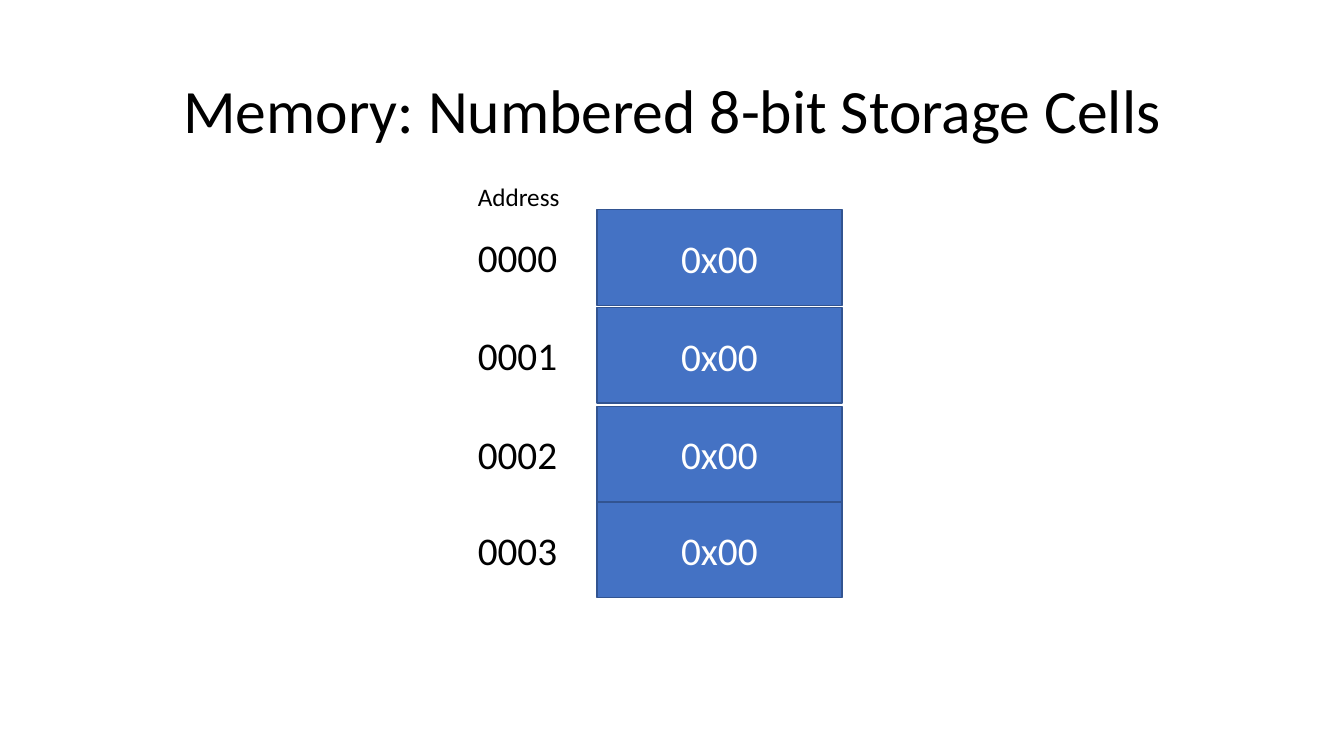
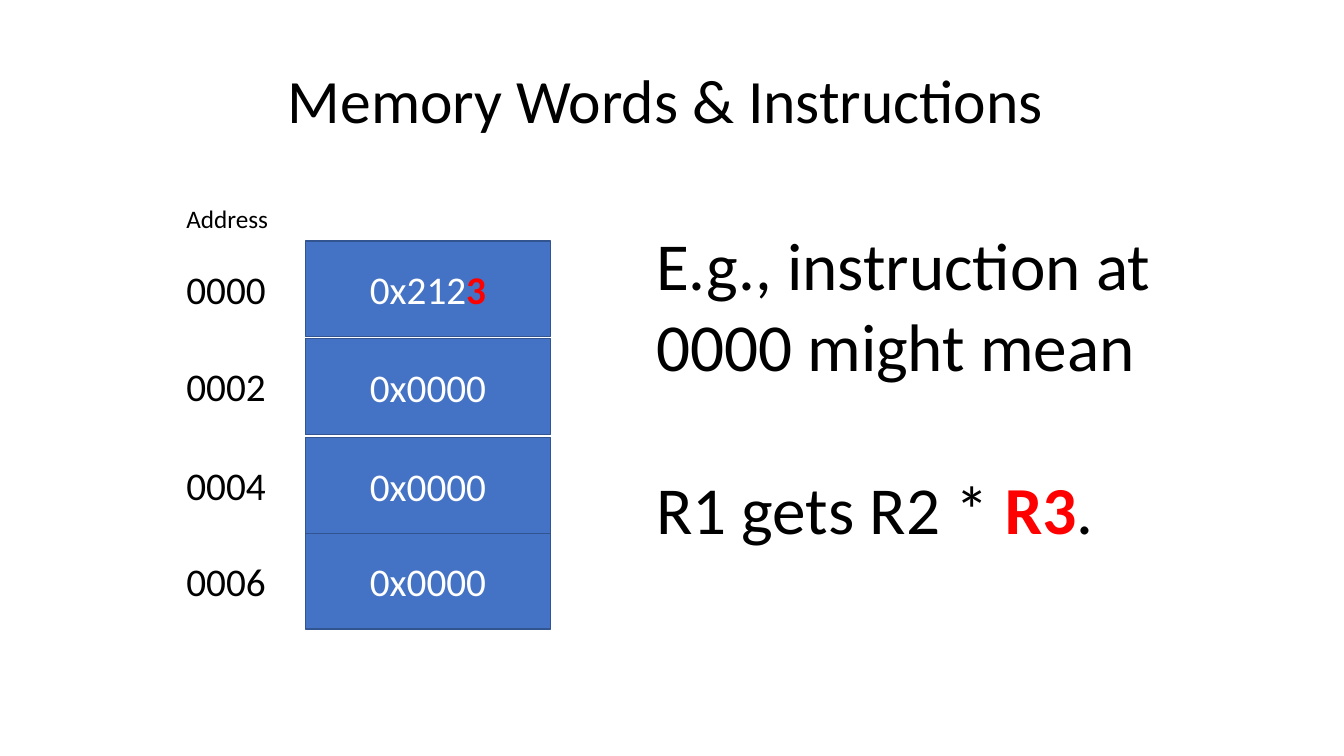
from pptx import Presentation
from pptx.dml.color import RGBColor
from pptx.enum.shapes import MSO_SHAPE as Shape
from pptx.enum.text import MSO_ANCHOR as Anchor, MSO_AUTO_SIZE as AutoSize, PP_ALIGN as Align
from pptx.util import Inches, Pt

COLORS = {
    "text": "000000",
    "cell": "4472C4",
    "border": "325491",
    "cell_text": "FFFFFF",
    "accent": "FF0000",
}
FONT = "Calibri"
TITLE_ONLY = 5
CELL_WIDTH, CELL_HEIGHT = 2.43, 0.95
CELL_INDENT = 1.28
ADDRESS_DROP = 0.19
ROW_OFFSETS = (0, 0.97, 1.95, 2.9)


def color(name):
    return RGBColor.from_string(COLORS[name])


def box(left, top, width, height):
    return [Inches(value) for value in (left, top, width, height)]


def format_runs(paragraph, size, ink="text"):
    for run in paragraph.runs:
        run.font.name = FONT
        run.font.size = Pt(size)
        run.font.color.rgb = color(ink)


def write_parts(paragraph, parts, size, ink="text", accent=None):
    for part in parts:
        paragraph.add_run().text = part
    format_runs(paragraph, size, ink)
    if accent is not None:
        paragraph.runs[accent].font.bold = True
        paragraph.runs[accent].font.color.rgb = color("accent")


def add_title_slide(deck, heading, area):
    slide = deck.slides.add_slide(deck.slide_layouts[TITLE_ONLY])
    title = slide.shapes.title
    title.left, title.top, title.width, title.height = box(*area)
    frame = title.text_frame
    frame.text = heading
    frame.vertical_anchor = Anchor.MIDDLE
    frame.auto_size = AutoSize.NONE
    paragraph = frame.paragraphs[0]
    paragraph.alignment = Align.CENTER
    paragraph.line_spacing = 0.9
    format_runs(paragraph, 44)
    return slide


def add_label(shapes, text, area, size, wrap=True):
    frame = shapes.add_textbox(*box(*area)).text_frame
    frame.word_wrap = wrap
    frame.text = text
    format_runs(frame.paragraphs[0], size)


def add_cell(shapes, parts, left, top):
    cell = shapes.add_shape(Shape.RECTANGLE, *box(left, top, CELL_WIDTH, CELL_HEIGHT))
    cell.shadow.inherit = False
    cell.fill.solid()
    cell.fill.fore_color.rgb = color("cell")
    cell.line.color.rgb = color("border")
    cell.line.width = Pt(1)
    cell.text_frame.vertical_anchor = Anchor.MIDDLE
    paragraph = cell.text_frame.paragraphs[0]
    paragraph.alignment = Align.CENTER
    write_parts(paragraph, parts, 28, "cell_text", 1 if len(parts) > 1 else None)


def add_memory(slide, left, top, heading_rise, rows):
    memory = slide.shapes.add_group_shape().shapes
    for offset, (address, parts) in zip(ROW_OFFSETS, rows):
        add_cell(memory, parts, left + CELL_INDENT, top + offset)
        add_label(memory, address, (left, top + offset + ADDRESS_DROP, 1.11, 0.57), 28)
    add_label(memory, "Address", (left, top - heading_rise, 1.02, 0.4), 18, wrap=False)


def add_example(slide, left, top, width, height):
    frame = slide.shapes.add_textbox(*box(left, top, width, height)).text_frame
    frame.word_wrap = True
    frame.text = "E.g., instruction at 0000 might mean"
    format_runs(frame.paragraphs[0], 48)
    meaning = frame.add_paragraph()
    meaning.space_before = Pt(58.6)
    write_parts(meaning, ["R1 gets R2 * ", "R3", "."], 48, accent=1)


def build_cells_slide(deck):
    slide = add_title_slide(deck, "Memory: Numbered 8-bit Storage Cells", (0.92, 0.4, 11.5, 1.45))
    rows = [(f"{address:04}", ["0x00"]) for address in range(4)]
    add_memory(slide, 4.64, 2.08, 0.33, rows)


def build_words_slide(deck):
    slide = add_title_slide(deck, "Memory Words & Instructions", (0, 0.3, 13.21, 1.45))
    add_example(slide, 6.41, 2.17, 6.2, 3.33)
    words = [["0x212", "3"]] + [["0x0000"]] * 3
    rows = [(f"{2 * index:04}", word) for index, word in enumerate(words)]
    add_memory(slide, 1.75, 2.39, 0.42, rows)


def main():
    deck = Presentation()
    deck.slide_width, deck.slide_height = Inches(13.33), Inches(7.5)
    build_cells_slide(deck)
    build_words_slide(deck)
    deck.save("out.pptx")


if __name__ == "__main__":
    main()
